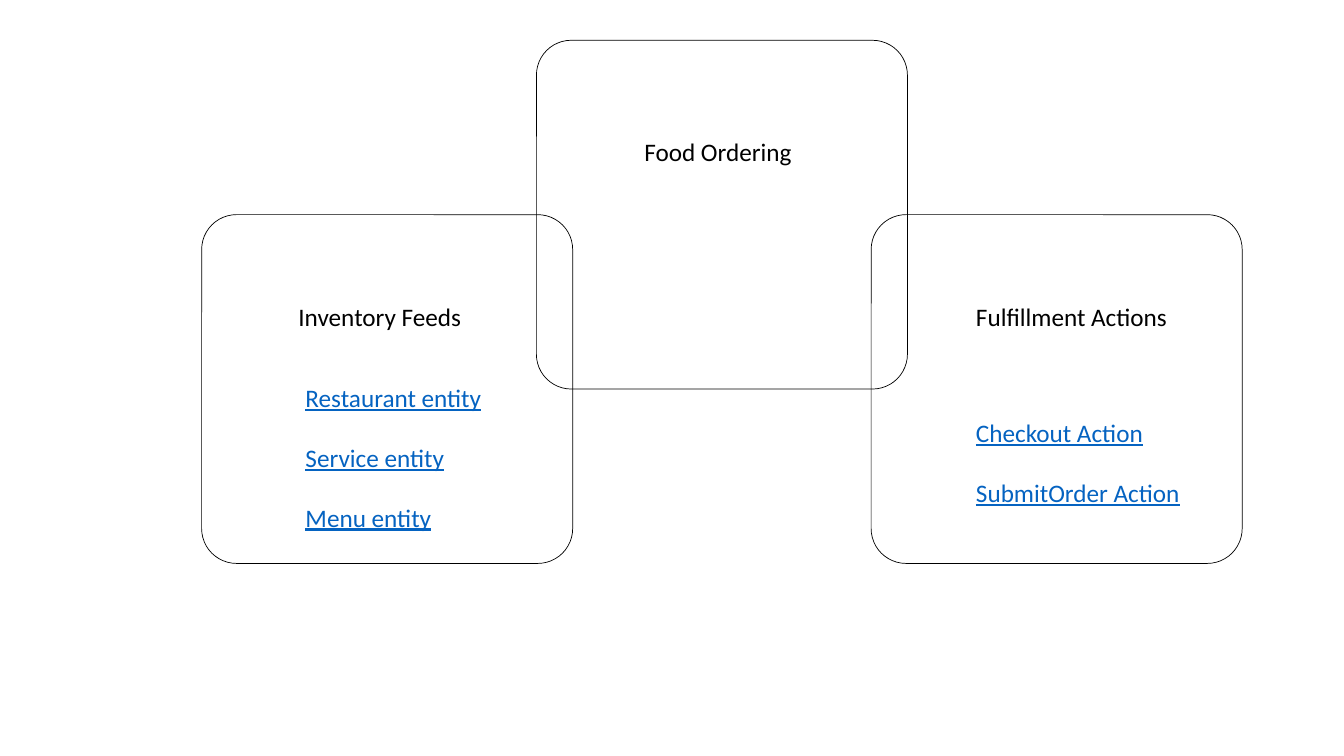
from dataclasses import dataclass

from lxml import etree
from pptx import Presentation
from pptx.dml.color import RGBColor
from pptx.enum.shapes import MSO_SHAPE
from pptx.enum.text import MSO_ANCHOR, MSO_AUTO_SIZE, PP_ALIGN
from pptx.oxml.ns import qn
from pptx.util import Inches, Pt

ROUNDED = MSO_SHAPE.ROUNDED_RECTANGLE
TOP = MSO_ANCHOR.TOP
FIT_SHAPE = MSO_AUTO_SIZE.SHAPE_TO_FIT_TEXT
LEFT = PP_ALIGN.LEFT

COMPARISON_LAYOUT = 4
GRID_LEFT, GRID_TOP = 2, 0.4
COLUMN_STEP, ROW_STEP = 3.32, 1.73
PANEL_WIDTH, PANEL_HEIGHT = 3.68, 2 * ROW_STEP


@dataclass(frozen=True)
class Theme:
    font: str = "Calibri"
    size: Pt = Pt(18)
    item_gap: Pt = Pt(21.2)
    outline: Pt = Pt(0.5)
    ink: RGBColor = RGBColor(0x00, 0x00, 0x00)
    link: RGBColor = RGBColor(0x05, 0x63, 0xC1)


THEME = Theme()


def cell_origin(column, row):
    return GRID_LEFT + column * COLUMN_STEP, GRID_TOP + row * ROW_STEP


def add_panel(page, column, row):
    left, top = cell_origin(column, row)
    panel = page.shapes.add_shape(
        ROUNDED, Inches(left), Inches(top), Inches(PANEL_WIDTH), Inches(PANEL_HEIGHT))
    panel.adjustments[0] = 0.1
    panel.shadow.inherit = False
    panel.fill.background()
    panel.line.color.rgb = THEME.ink
    panel.line.width = THEME.outline


def place_text(box, cell, offset, size, lines, color, underline=False):
    left, top = cell_origin(*cell)
    box.left, box.top = Inches(left + offset[0]), Inches(top + offset[1])
    box.width, box.height = Inches(size[0]), Inches(size[1])
    frame = box.text_frame
    frame.text = "\n".join(lines)
    frame.word_wrap = False
    frame.auto_size = FIT_SHAPE
    frame.vertical_anchor = TOP
    for index, para in enumerate(frame.paragraphs):
        para.alignment = LEFT
        para.space_before = THEME.item_gap if index else Pt(0)
        properties = para._p.get_or_add_pPr()
        properties.set("marL", "0")
        properties.set("indent", "0")
        etree.SubElement(properties, qn("a:buNone"))
        font = para.font
        font.name, font.size = THEME.font, THEME.size
        font.bold, font.underline = False, underline
        font.color.rgb = color


def place_heading(box, cell, offset, width, text):
    place_text(box, cell, offset, (width, 0.4), [text], THEME.ink)


def place_links(box, cell, offset, size, lines):
    place_text(box, cell, offset, size, lines, THEME.link, underline=True)


def main():
    deck = Presentation()
    deck.slide_width, deck.slide_height = Inches(13.33), Inches(7.5)
    page = deck.slides.add_slide(deck.slide_layouts[COMPARISON_LAYOUT])
    title, feeds_heading, feeds_list, actions_heading, actions_list = page.placeholders

    feeds, actions, ordering = (0, 1), (2, 1), (1, 0)
    for cell in (feeds, actions, ordering):
        add_panel(page, *cell)

    place_heading(title, ordering, (0.97, 0.9), 1.7, "Food Ordering")
    place_heading(feeds_heading, feeds, (0.86, 0.81), 1.88, "Inventory Feeds")
    place_heading(actions_heading, actions, (0.94, 0.81), 2.15, "Fulfillment Actions")
    place_links(feeds_list, feeds, (0.93, 1.61), (2.03, 1.62),
                ["Restaurant entity", "Service entity", "Menu entity"])
    place_links(actions_list, actions, (0.94, 1.96), (2.26, 1.01),
                ["Checkout Action", "SubmitOrder Action"])
    deck.save("out.pptx")


if __name__ == "__main__":
    main()
